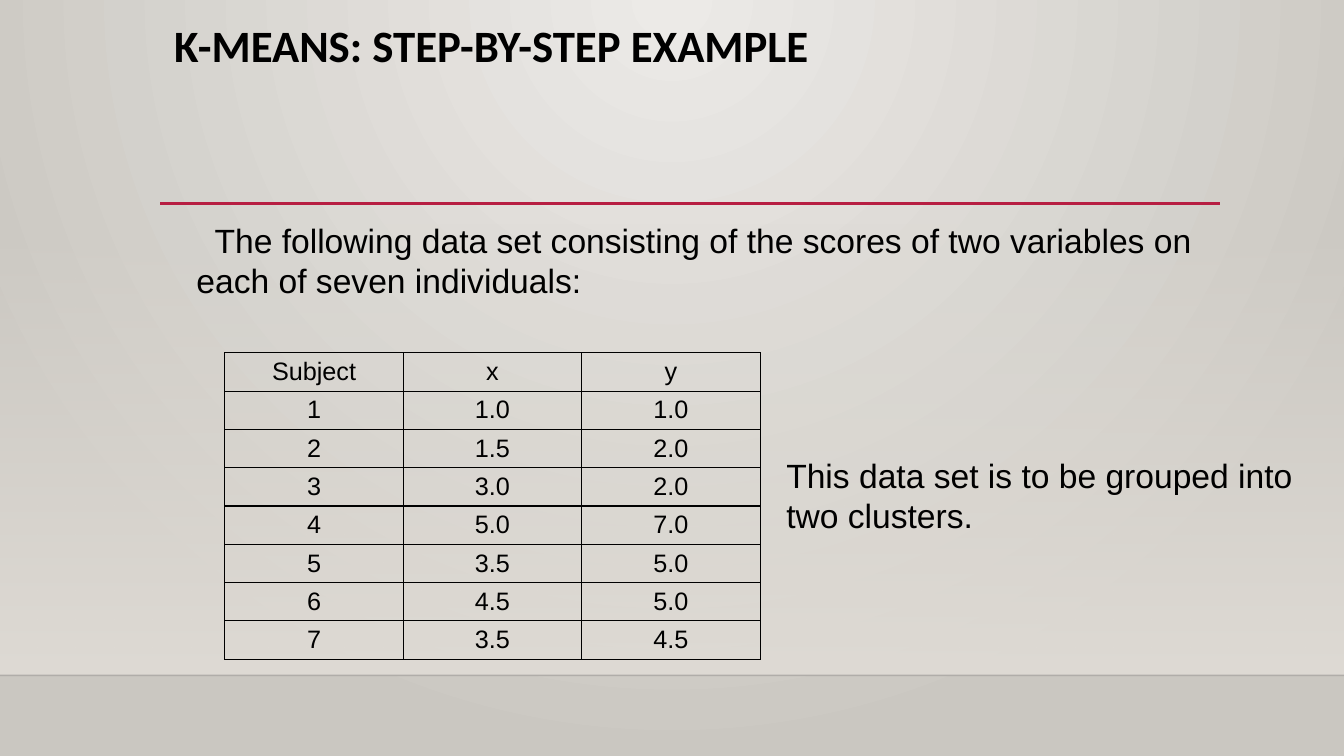
from lxml.etree import SubElement
from pptx import Presentation
from pptx.dml.color import RGBColor
from pptx.enum.shapes import MSO_CONNECTOR, MSO_SHAPE
from pptx.enum.text import MSO_ANCHOR, PP_ALIGN
from pptx.oxml.ns import qn
from pptx.util import Inches, Pt

COLORS = {
    "text": "000000",
    "accent": "B71E42",
    "floor": "000001",
    "glow": "ECEAE7",
    "edge": "CAC7C1",
    "wall": "DFDBD5",
}
SCORES = [
    ("Subject", "x", "y"),
    ("1", "1.0", "1.0"),
    ("2", "1.5", "2.0"),
    ("3", "3.0", "2.0"),
    ("4", "5.0", "7.0"),
    ("5", "3.5", "5.0"),
    ("6", "4.5", "5.0"),
    ("7", "3.5", "4.5"),
]


def rgb(name):
    """Return the named colour."""
    return RGBColor.from_string(COLORS[name])


def set_alpha(color_el, percent):
    """Set the opacity of a colour element."""
    SubElement(color_el, qn("a:alpha"), val=str(percent * 1000))


def fill_gradient(fill, start, end):
    """Fill with a two-stop gradient."""
    fill.gradient()
    for stop, name in zip(fill.gradient_stops, (start, end)):
        stop.color.rgb = rgb(name)


def add_background(s):
    """Light the slide from the middle of its top edge."""
    fill_gradient(s.background.fill, "glow", "edge")
    grad = s._element.find(".//" + qn("a:gradFill"))
    grad.remove(grad.find(qn("a:lin")))
    path = SubElement(grad, qn("a:path"), {"path": "circle"})
    SubElement(path, qn("a:fillToRect"), l="43000", t="0", r="43000", b="100000")


def add_wall(s, x, y, w, h):
    """Add a panel that fades in from top to bottom."""
    sp = s.shapes.add_shape(MSO_SHAPE.RECTANGLE, Inches(x), Inches(y), Inches(w), Inches(h))
    sp.shadow.inherit = False
    sp.line.fill.background()
    fill_gradient(sp.fill, "wall", "wall")
    sp.fill.gradient_angle = 270
    set_alpha(sp._element.spPr.find(".//" + qn("a:srgbClr")), 0)


def add_rule(s, x1, x2, y, color, width, alpha=100):
    """Add a horizontal line."""
    cx = s.shapes.add_connector(
        MSO_CONNECTOR.STRAIGHT, Inches(x1), Inches(y), Inches(x2), Inches(y))
    cx.line.color.rgb = rgb(color)
    cx.line.width = Pt(width)
    sppr = cx._element.spPr
    if alpha < 100:
        set_alpha(sppr.find(".//" + qn("a:srgbClr")), alpha)
    SubElement(sppr, qn("a:effectLst"))


def add_run(p, text, size, font="Arial", bold=False):
    """Add a formatted run to a paragraph."""
    r = p.add_run()
    r.text = text
    r.font.size = Pt(size)
    r.font.name = font
    r.font.bold = bold
    r.font.color.rgb = rgb("text")


def add_text(s, x, y, w, h, lines, size, font="Arial", bold=False, indent=0, spacing=1.0):
    """Add a text box with one paragraph per line."""
    tf = s.shapes.add_textbox(Inches(x), Inches(y), Inches(w), Inches(h)).text_frame
    tf.word_wrap = True
    for i, line in enumerate(lines):
        p = tf.add_paragraph() if i else tf.paragraphs[0]
        p.line_spacing = spacing
        if indent:
            p._p.get_or_add_pPr().set("indent", str(Inches(indent)))
        add_run(p, line, size, font, bold)


def add_borders(cell):
    """Draw a thin line on each side of a cell."""
    tc_pr = cell._tc.get_or_add_tcPr()
    for i, side in enumerate(("a:lnL", "a:lnR", "a:lnT", "a:lnB")):
        ln = tc_pr.makeelement(qn(side), {"w": str(Pt(1))})
        SubElement(SubElement(ln, qn("a:solidFill")), qn("a:srgbClr"), val=COLORS["text"])
        tc_pr.insert(i, ln)


def add_scores(s, x, y, col_w, row_h):
    """Add the table of scores."""
    n_rows, n_cols = len(SCORES), len(SCORES[0])
    table = s.shapes.add_table(n_rows, n_cols, Inches(x), Inches(y),
                               Inches(col_w * n_cols), Inches(row_h * n_rows)).table
    table.first_row = table.horz_banding = False
    for col in table.columns:
        col.width = Inches(col_w)
    for i, values in enumerate(SCORES):
        table.rows[i].height = Inches(row_h)
        for j, value in enumerate(values):
            cell = table.cell(i, j)
            cell.fill.background()
            cell.vertical_anchor = MSO_ANCHOR.MIDDLE
            cell.margin_top = cell.margin_bottom = Inches(0.04)
            p = cell.text_frame.paragraphs[0]
            p.alignment = PP_ALIGN.CENTER
            add_run(p, value, 18)
            add_borders(cell)


def main():
    """Build the slide and save it."""
    prs = Presentation()
    prs.slide_width, prs.slide_height = Inches(13.33), Inches(7.5)
    s = prs.slides.add_slide(prs.slide_layouts[6])
    add_background(s)
    add_wall(s, 0, 2.21, 13.33, 4.49)
    add_rule(s, 0, 13.33, 6.7, "floor", 1, alpha=20)
    add_rule(s, 1.59, 12.1, 2.02, "accent", 2.5)
    add_text(s, 1.63, 0.19, 10.96, 1.45, ["K-MEANS: STEP-BY-STEP EXAMPLE"],
             32, font="Calibri", bold=True, spacing=0.9)
    add_scores(s, 2.23, 3.5, 1.77, 0.38)
    add_text(s, 1.85, 2.13, 10.52, 0.91,
             ["The following data set consisting of the scores of two variables "
              "on each of seven individuals:"], 24, indent=0.18)
    add_text(s, 7.7, 4.46, 5.41, 0.91,
             ["This data set is to be grouped into", "two clusters."], 24)
    prs.save("out.pptx")


if __name__ == "__main__":
    main()
